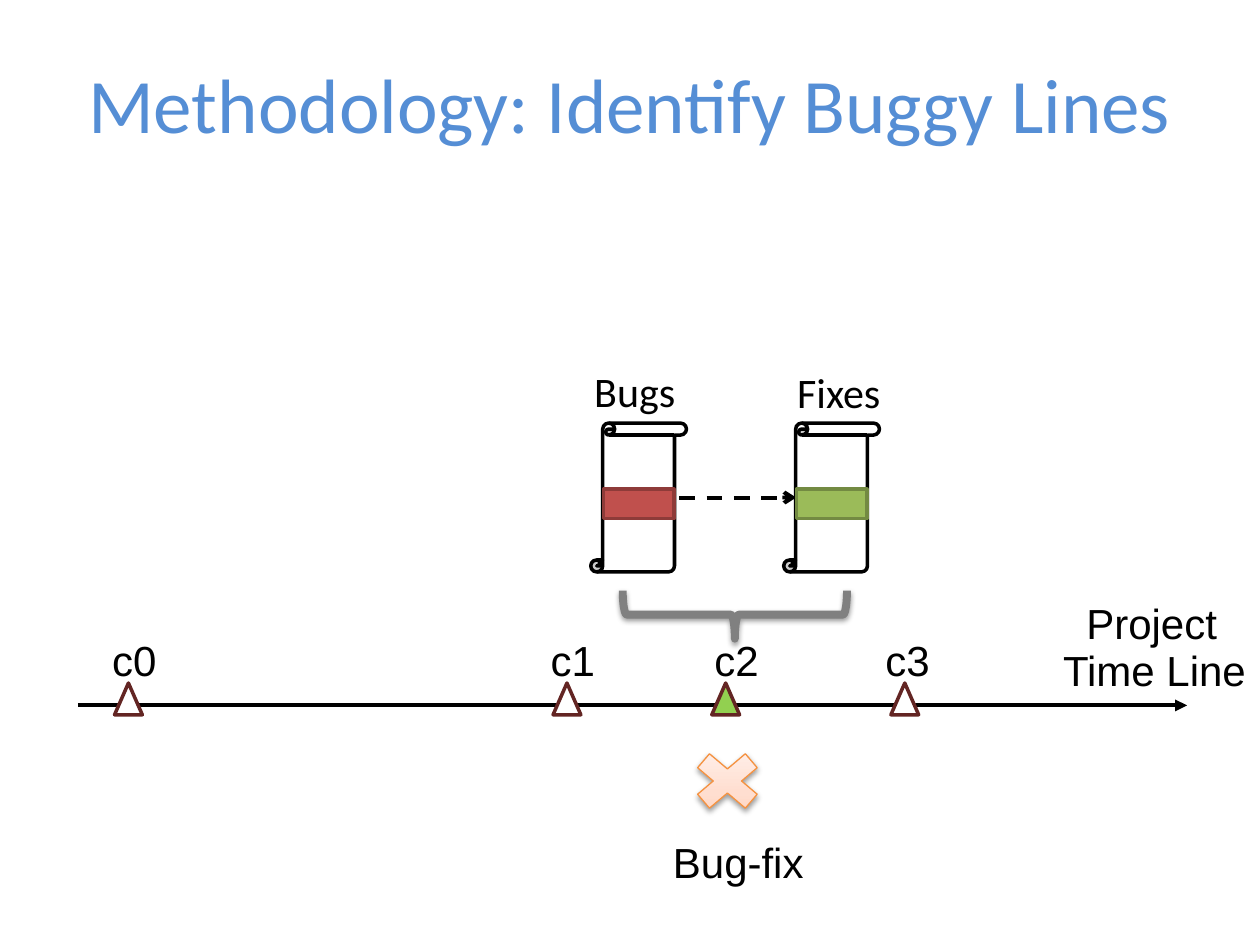
from copy import deepcopy

from lxml.etree import SubElement
from pptx import Presentation
from pptx.dml.color import RGBColor
from pptx.enum.dml import MSO_LINE
from pptx.enum.shapes import MSO_CONNECTOR, MSO_SHAPE as SH
from pptx.enum.text import MSO_ANCHOR, PP_ALIGN
from pptx.oxml.ns import qn
from pptx.util import Cm, Pt

TITLE = "Methodology: Identify Buggy Lines"
AXIS_LABEL = ["Project", "Time Line"]
COMMITS = [
    ("c0", 2.31, 2.01, "FFFFFF"),
    ("c1", 11.15, 10.85, "FFFFFF"),
    ("c2", 14.35, 14.15, "92D050"),
    ("c3", 17.96, 17.6, "FFFFFF"),
]
FILES = [
    ("Bugs", 11.91, (11.73, 7.24, 2.79, 1.2), "C0504D", "8E3B39"),
    ("Fixes", 15.8, (15.82, 7.26, 2.34, 1.2), "9BBB59", "738A42"),
]
MARK_STOPS = [(0, "FFD2BD"), (0.35, "FFDED0"), (1, "FFF2ED")]
AXIS_Y = 14.22


def rgb(color):
    return RGBColor.from_string(color)


def add_text(s, box, lines, font="Arial", size=24, color="000000",
             align=PP_ALIGN.LEFT, spacing=None):
    tb = s.shapes.add_textbox(*map(Cm, box))
    tf = tb.text_frame
    tf.word_wrap = True
    tf.text = "\n".join(lines)
    for p in tf.paragraphs:
        p.alignment = align
        p.line_spacing = spacing
        for r in p.runs:
            r.font.name = font
            r.font.size = Pt(size)
            r.font.color.rgb = rgb(color)
    return tf


def add_shape(s, kind, box, fill, line, width):
    sp = s.shapes.add_shape(kind, *map(Cm, box))
    if fill:
        sp.fill.solid()
        sp.fill.fore_color.rgb = rgb(fill)
    else:
        sp.fill.background()
    sp.line.color.rgb = rgb(line)
    sp.line.width = Pt(width)
    sp.shadow.inherit = False
    return sp


def add_arrow(s, x1, x2, y, width, head):
    cx = s.shapes.add_connector(MSO_CONNECTOR.STRAIGHT, Cm(x1), Cm(y), Cm(x2), Cm(y))
    cx.line.color.rgb = rgb("000000")
    cx.line.width = Pt(width)
    SubElement(cx.line._get_or_add_ln(), qn("a:tailEnd"), type=head)
    SubElement(cx._element.spPr, qn("a:effectLst"))
    return cx


def add_shadow(sp):
    effects = sp._element.spPr.find(qn("a:effectLst"))
    shadow = SubElement(effects, qn("a:outerShdw"), blurRad="40000", dist="20000",
                        dir="5400000", rotWithShape="0")
    color = SubElement(shadow, qn("a:srgbClr"), val="000000")
    SubElement(color, qn("a:alpha"), val="38000")


def set_gradient(sp, stops, angle):
    sp.fill.gradient()
    sp.fill.gradient_angle = angle
    stop_list = sp._element.spPr.find(qn("a:gradFill")).find(qn("a:gsLst"))
    stop_list.append(deepcopy(stop_list[0]))
    for stop, (position, color) in zip(sp.fill.gradient_stops, stops):
        stop.position = position
        stop.color.rgb = rgb(color)


prs = Presentation()
prs.slide_width, prs.slide_height = Cm(25.4), Cm(19.05)
s = prs.slides.add_slide(prs.slide_layouts[6])

add_arrow(s, 1.57, 23.93, AXIS_Y, 2.3, "triangle")
tf = add_text(s, (21.18, 12.01, 4.06, 1.73), AXIS_LABEL, spacing=0.93)
tf.margin_right = 0
tf.paragraphs[0]._p.get_or_add_pPr().set("marL", str(Cm(0.47)))

for name, x, label_x, fill in COMMITS:
    add_shape(s, SH.ISOSCELES_TRIANGLE, (x, AXIS_Y - 0.45, 0.56, 0.64), fill, "632523", 2)
    add_text(s, (label_x, 12.75, 1.5, 1.02), [name], spacing=0.93)

tf = add_text(s, (1.27, 0.33, 22.86, 3.48), [TITLE], "Calibri", 44, "558ED5", PP_ALIGN.CENTER)
tf.vertical_anchor = MSO_ANCHOR.MIDDLE

add_text(s, (13, 16.74, 3.45, 0.97), ["Bug-fix"], align=PP_ALIGN.RIGHT)
mark = add_shape(s, SH.MATH_MULTIPLY, (13.74, 14.96, 1.85, 1.57), None, "F59240", 0.75)
set_gradient(mark, MARK_STOPS, 90)
add_shadow(mark)

fix_arrow = add_arrow(s, 13.69, 16.05, 10.03, 2.25, "arrow")
fix_arrow.line.dash_style = MSO_LINE.DASH
for name, x, label_box, fill, line in FILES:
    add_shape(s, SH.VERTICAL_SCROLL, (x, 8.53, 1.93, 3), "FFFFFF", "000000", 2)
    add_shape(s, SH.MATH_MINUS, (x, 8.89, 1.93, 2.54), fill, line, 2)
    add_text(s, label_box, [name], "Calibri")

brace = add_shape(s, SH.LEFT_BRACE, (14.33, 10.13, 0.97, 4.52), None, "808080", 4.5)
brace.rotation = 270
add_shadow(brace)

prs.save("out.pptx")
